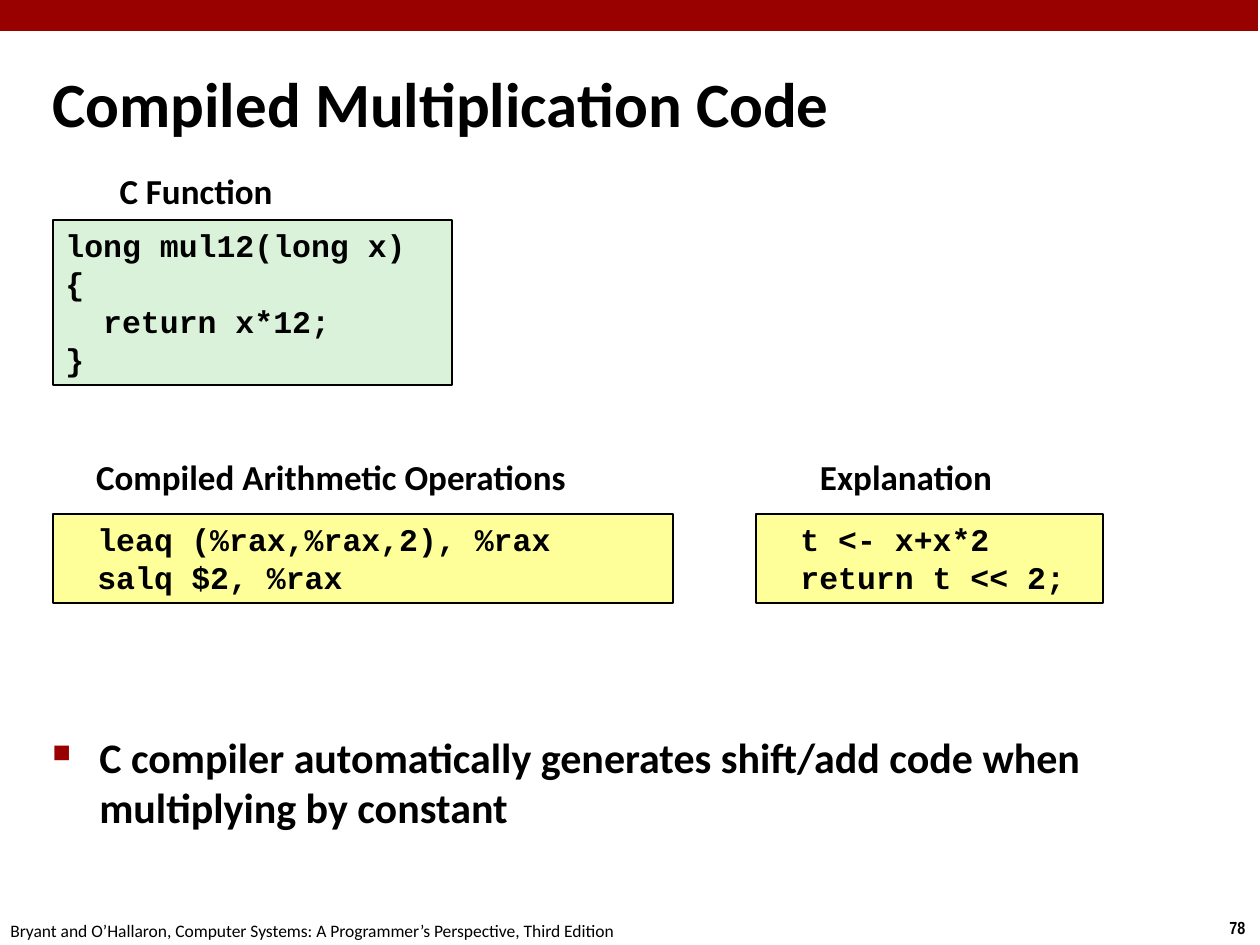
from dataclasses import dataclass

from lxml import etree
from pptx import Presentation
from pptx import util as u
from pptx.dml.color import RGBColor
from pptx.enum import shapes, text
from pptx.oxml.ns import qn

PX_PER_INCH = 126


def emu(px):
    return u.Emu(round(px * u.Inches(1) / PX_PER_INCH))


@dataclass(frozen=True)
class Theme:
    red: str = "990000"
    ink: str = "000000"
    c_fill: str = "DBF2DA"
    asm_fill: str = "FFFF99"
    sans: str = "Calibri"
    narrow: str = "Arial Narrow"
    mono: str = "Courier New"
    title: int = 36
    body: int = 24
    heading: int = 20
    code: int = 18
    footer: int = 10


class SlideBuilder:
    def __init__(self, slide, theme):
        self.slide = slide
        self.theme = theme

    def style(self, paragraph, size, face, bold=True):
        font = paragraph.font
        font.size, font.name, font.bold = u.Pt(size), face, bold
        font.color.rgb = RGBColor.from_string(self.theme.ink)

    def rectangle(self, box, fill, outlined=False):
        rect = self.slide.shapes.add_shape(shapes.MSO_SHAPE.RECTANGLE, *map(emu, box))
        rect.shadow.inherit = False
        rect.fill.solid()
        rect.fill.fore_color.rgb = RGBColor.from_string(fill)
        if outlined:
            rect.line.color.rgb = RGBColor.from_string(self.theme.ink)
            rect.line.width = u.Pt(1)
        else:
            rect.line.fill.background()
        return rect

    def code(self, box, lines, fill, tab=None):
        """Outlined listing; tab is the first tab stop in px."""
        frame = self.rectangle(box, fill, outlined=True).text_frame
        frame.word_wrap = True
        frame.auto_size = text.MSO_AUTO_SIZE.SHAPE_TO_FIT_TEXT
        frame.vertical_anchor = text.MSO_ANCHOR.TOP
        frame.text = "\n".join(lines)
        for paragraph in frame.paragraphs:
            paragraph.alignment = text.PP_ALIGN.LEFT
            if tab:
                stops = etree.SubElement(paragraph._p.get_or_add_pPr(), qn("a:tabLst"))
                etree.SubElement(stops, qn("a:tab"), pos=str(emu(tab)), algn="l")
            self.style(paragraph, self.theme.code, self.theme.mono)

    def text_box(self, box, words, wrap=False):
        frame = self.slide.shapes.add_textbox(*map(emu, box)).text_frame
        frame.word_wrap = wrap
        if not wrap:
            frame.auto_size = text.MSO_AUTO_SIZE.SHAPE_TO_FIT_TEXT
        frame.text = words
        return frame

    def title(self, box, words):
        frame = self.text_box(box, words, wrap=True)
        frame.vertical_anchor = text.MSO_ANCHOR.MIDDLE
        self.style(frame.paragraphs[0], self.theme.title, self.theme.sans)

    def heading(self, box, words):
        frame = self.text_box(box, words)
        frame.margin_left = frame.margin_right = emu(6)
        frame.margin_top = frame.margin_bottom = emu(6)
        frame.paragraphs[0].alignment = text.PP_ALIGN.CENTER
        self.style(frame.paragraphs[0], self.theme.heading, self.theme.sans)

    def bullet(self, box, words, indent):
        paragraph = self.text_box(box, words, wrap=True).paragraphs[0]
        props = paragraph._p.get_or_add_pPr()
        props.set("marL", str(emu(indent)))
        props.set("indent", str(-emu(indent)))
        color = etree.SubElement(props, qn("a:buClr"))
        etree.SubElement(color, qn("a:srgbClr"), val=self.theme.red)
        etree.SubElement(props, qn("a:buSzPct"), val="60000")
        etree.SubElement(props, qn("a:buChar"), char="■")
        self.style(paragraph, self.theme.body, self.theme.sans)

    def footer(self, box, words, face, bold):
        paragraph = self.text_box(box, words).paragraphs[0]
        self.style(paragraph, self.theme.footer, face, bold)


def main():
    deck = Presentation()
    deck.slide_width, deck.slide_height = emu(1260), emu(945)
    theme = Theme()
    page = SlideBuilder(deck.slides.add_slide(deck.slide_layouts[6]), theme)

    page.rectangle((-2, 0, 1260, 31), theme.red)
    page.footer((1217, 911, 43, 34), "78", theme.narrow, bold=True)
    page.footer(
        (-2, 914, 640, 34),
        "Bryant and O’Hallaron, Computer Systems: A Programmer’s Perspective, Third Edition",
        theme.sans, bold=False)

    page.title((40, 63, 988, 79), "Compiled Multiplication Code")

    left, assembly_top, assembly_height, tab = 53, 514, 89, 32
    page.heading((112, 163, 168, 55), "C Function")
    page.code((left, 220, 399, 165),
              ["long mul12(long x)", "{", "  return x*12;", "}"], theme.c_fill)

    page.heading((88, 449, 486, 55), "Compiled Arithmetic Operations")
    page.code((left, assembly_top, 620, assembly_height),
              ["\tleaq\t(%rax,%rax,2), %rax", "\tsalq\t$2, %rax"], theme.asm_fill, tab)

    page.heading((813, 449, 186, 55), "Explanation")
    page.code((756, assembly_top, 347, assembly_height),
              ["\tt <- x+x*2", "\treturn t << 2;"], theme.asm_fill, tab)

    page.bullet(
        (40, 725, 1145, 164),
        "C compiler automatically generates shift/add code when multiplying by constant",
        indent=47)

    deck.save("out.pptx")


if __name__ == "__main__":
    main()
